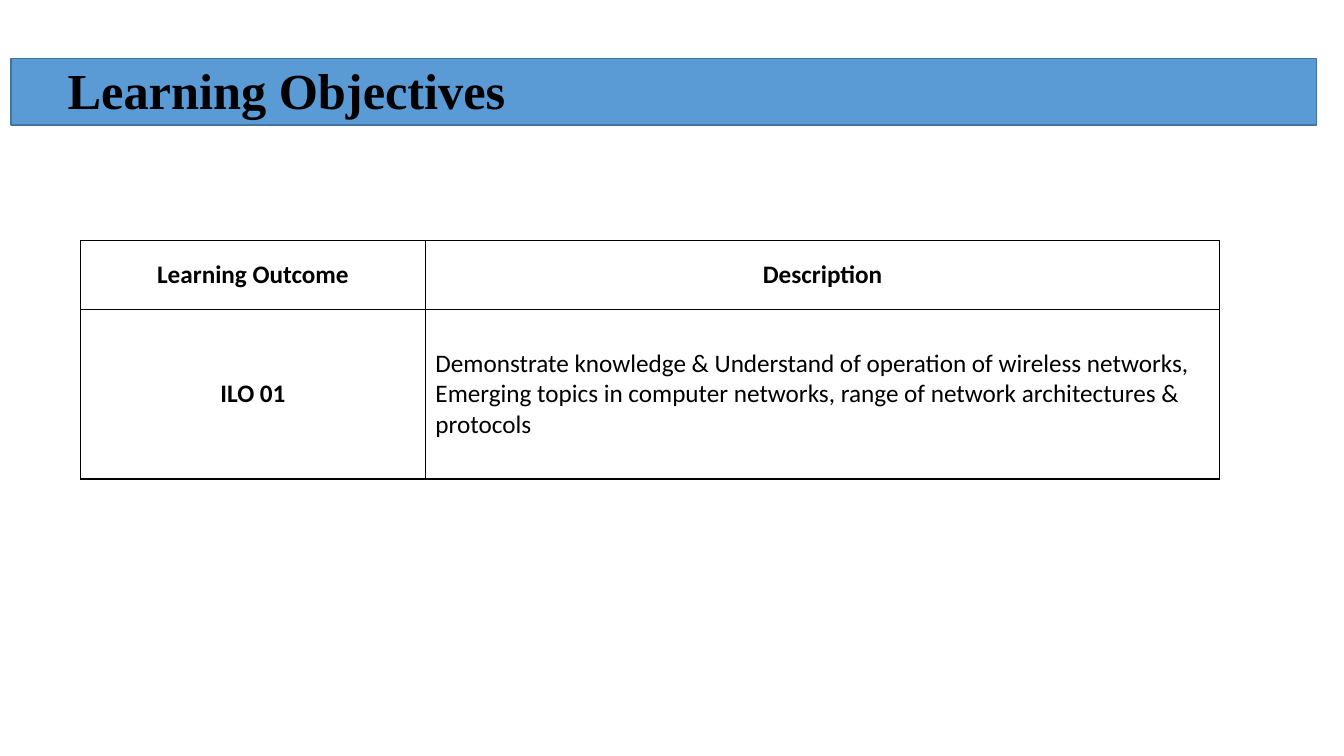
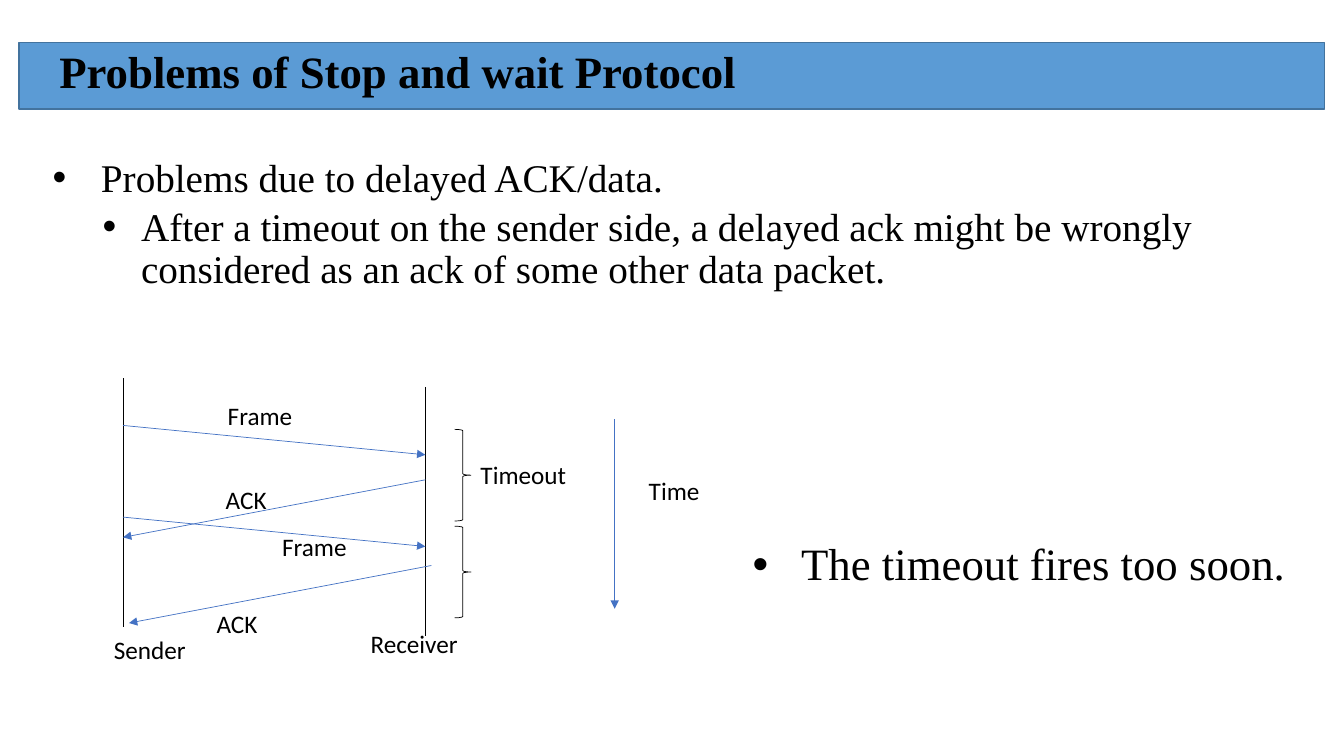
from lxml import etree
from pptx import Presentation
from pptx.dml.color import RGBColor
from pptx.enum.shapes import MSO_CONNECTOR, MSO_SHAPE
from pptx.enum.text import MSO_ANCHOR, MSO_AUTO_SIZE, PP_ALIGN
from pptx.oxml.ns import qn
from pptx.util import Cm, Pt

BLACK = RGBColor(0x00, 0x00, 0x00)
BAND_FILL = RGBColor(0x5B, 0x9B, 0xD5)
BAND_LINE = RGBColor(0x43, 0x73, 0x9E)
ARROW_BLUE = RGBColor(0x44, 0x72, 0xC4)
RECTANGLE, RIGHT_BRACE = MSO_SHAPE.RECTANGLE, MSO_SHAPE.RIGHT_BRACE
STRAIGHT = MSO_CONNECTOR.STRAIGHT
LEFT, CENTER = PP_ALIGN.LEFT, PP_ALIGN.CENTER
MIDDLE, BOTTOM = MSO_ANCHOR.MIDDLE, MSO_ANCHOR.BOTTOM
NO_AUTOFIT = MSO_AUTO_SIZE.NONE

SERIF, SANS = "Times New Roman", "Calibri"
LABEL_FONT = {"name": SANS, "size": Pt(18), "bold": False}


def style(paragraph, font, **layout):
    """Apply font values and paragraph layout values; text is black."""
    for key, value in layout.items():
        setattr(paragraph, key, value)
    for key, value in font.items():
        setattr(paragraph.font, key, value)
    paragraph.font.color.rgb = BLACK


def add_bullets(frame, items, size):
    """Fill a frame with (text, level, left margin in cm, hanging in cm, space before)."""
    frame.word_wrap = True
    frame.auto_size = NO_AUTOFIT
    for index, (text, level, margin, hanging, before) in enumerate(items):
        paragraph = frame.paragraphs[0] if index == 0 else frame.add_paragraph()
        paragraph.text = text
        properties = paragraph._p.get_or_add_pPr()
        properties.set("marL", str(Cm(margin)))
        properties.set("indent", str(-Cm(hanging)))
        etree.SubElement(properties, qn("a:buFont")).set("typeface", "Arial")
        etree.SubElement(properties, qn("a:buChar")).set("char", "•")
        style(paragraph, {"name": SERIF, "size": size}, level=level, alignment=LEFT,
              line_spacing=0.9, space_before=Pt(before))


prs = Presentation()
prs.slide_width, prs.slide_height = Cm(33.87), Cm(19.05)
title_layout = prs.slide_layouts[0]

# Title bands: text, size, band position, title box
headings = [
    ("Learning Objectives", 36, (0.28, 1.47), (1.45, 1.02, 25.4, 2.13)),
    ("Problems of Stop and wait Protocol", 32, (0.48, 1.07), (1.24, 0.36, 28.5, 2.24)),
]
slides = []
for heading, size, (band_left, band_top), box in headings:
    slide = prs.slides.add_slide(title_layout)
    slides.append(slide)
    band = slide.shapes.add_shape(RECTANGLE, Cm(band_left), Cm(band_top), Cm(32.9), Cm(1.68))
    band.shadow.inherit = False
    band.fill.solid()
    band.fill.fore_color.rgb = BAND_FILL
    band.line.color.rgb = BAND_LINE
    band.line.width = Pt(1)
    slide.shapes._spTree.insert(2, band._element)  # behind the title

    title = slide.shapes.title
    title.left, title.top, title.width, title.height = map(Cm, box)
    title.text = heading
    title.text_frame.vertical_anchor = BOTTOM
    title.text_frame.auto_size = NO_AUTOFIT
    style(title.text_frame.paragraphs[0], {"name": SERIF, "size": Pt(size), "bold": True},
          alignment=LEFT, line_spacing=0.9, space_before=Pt(0))

objectives, problems = slides

# Learning outcomes table
subtitle = objectives.placeholders[1]._element
subtitle.getparent().remove(subtitle)

outcomes = [
    ("Learning Outcome", "Description"),
    ("ILO 01", "Demonstrate knowledge & Understand of operation of wireless networks, "
               "Emerging topics in computer networks, range of network architectures & protocols"),
]
column_widths, row_heights = (8.69, 20.02), (1.73, 4.27)
table = objectives.shapes.add_table(2, 2, Cm(2.03), Cm(6.07), Cm(sum(column_widths)),
                                    Cm(sum(row_heights))).table
table.horz_banding = False
for column, width in zip(table.columns, column_widths):
    column.width = Cm(width)
for r, (row, height) in enumerate(zip(table.rows, row_heights)):
    row.height = Cm(height)
    for c, text in enumerate(outcomes[r]):
        cell = table.cell(r, c)
        is_description = r == 1 and c == 1
        cell.text = text
        cell.vertical_anchor = MIDDLE
        style(cell.text_frame.paragraphs[0], {**LABEL_FONT, "bold": not is_description},
              alignment=LEFT if is_description else CENTER)
        cell_properties = cell._tc.get_or_add_tcPr()
        for side in ("a:lnL", "a:lnR", "a:lnT", "a:lnB"):
            border = etree.SubElement(cell_properties, qn(side), w=str(Pt(1)))
            border_fill = etree.SubElement(border, qn("a:solidFill"))
            etree.SubElement(border_fill, qn("a:srgbClr"), val=str(BLACK))
        cell.fill.background()

# Problem statement
statement = problems.placeholders[1]
statement.left, statement.top, statement.width, statement.height = map(
    Cm, (1.07, 3.86, 32.79, 6.07))
add_bullets(statement.text_frame, [
    ("Problems due to delayed ACK/data.", 0, 1.22, 1.22, 0),
    ("After a timeout on the sender side, a delayed ack might be wrongly considered "
     "as an ack of some other data packet.", 1, 2.23, 0.97, 5),
], Pt(28))

# Sequence diagram: lifelines, messages and time axis
SENDER_X, RECEIVER_X, TIME_X = 3.1, 10.72, 15.49
diagram_lines = [
    (SENDER_X, 9.53, SENDER_X, 15.8, BLACK),
    (RECEIVER_X, 9.75, RECEIVER_X, 16.03, BLACK),
    (SENDER_X, 10.72, RECEIVER_X, 11.46, ARROW_BLUE),
    (RECEIVER_X, 12.09, SENDER_X, 13.54, ARROW_BLUE),
    (SENDER_X, 13.03, RECEIVER_X, 13.77, ARROW_BLUE),
    (RECEIVER_X + 0.15, 14.25, SENDER_X + 0.15, 15.7, ARROW_BLUE),
    (TIME_X, 10.57, TIME_X, 15.34, ARROW_BLUE),
]
for *ends, color in diagram_lines:
    connector = problems.shapes.add_connector(STRAIGHT, *map(Cm, ends))
    connector.line.color.rgb = color
    connector.line.width = Pt(0.5)
    if color == ARROW_BLUE:
        etree.SubElement(connector.line._get_or_add_ln(), qn("a:tailEnd"), type="triangle")
    etree.SubElement(connector._element.spPr, qn("a:effectLst"))

for timeout_top in (10.82, 13.26):
    brace = problems.shapes.add_shape(RIGHT_BRACE, Cm(11.46), Cm(timeout_top), Cm(0.41), Cm(2.31))
    brace.shadow.inherit = False
    brace.fill.background()
    brace.line.color.rgb = BLACK
    brace.line.width = Pt(0.5)

diagram_labels = [
    ("Sender", 2.62, 15.85), ("Receiver", 9.09, 15.7),
    ("Frame", 5.49, 9.96), ("ACK", 5.44, 12.09),
    ("Frame", 6.86, 13.26), ("ACK", 5.21, 15.21),
    ("Timeout", 11.86, 11.46), ("Time", 16.1, 11.86),
]
for text, left, top in diagram_labels:
    label = problems.shapes.add_textbox(Cm(left), Cm(top), Cm(3.23), Cm(1.02)).text_frame
    label.word_wrap = True
    label.text = text
    style(label.paragraphs[0], LABEL_FONT)

conclusion = problems.shapes.add_textbox(Cm(18.72), Cm(13.54), Cm(15), Cm(4.6))
add_bullets(conclusion.text_frame,
            [("The timeout fires too soon.", 0, 1.22, 1.22, 0)], Pt(32))

prs.save("out.pptx")
